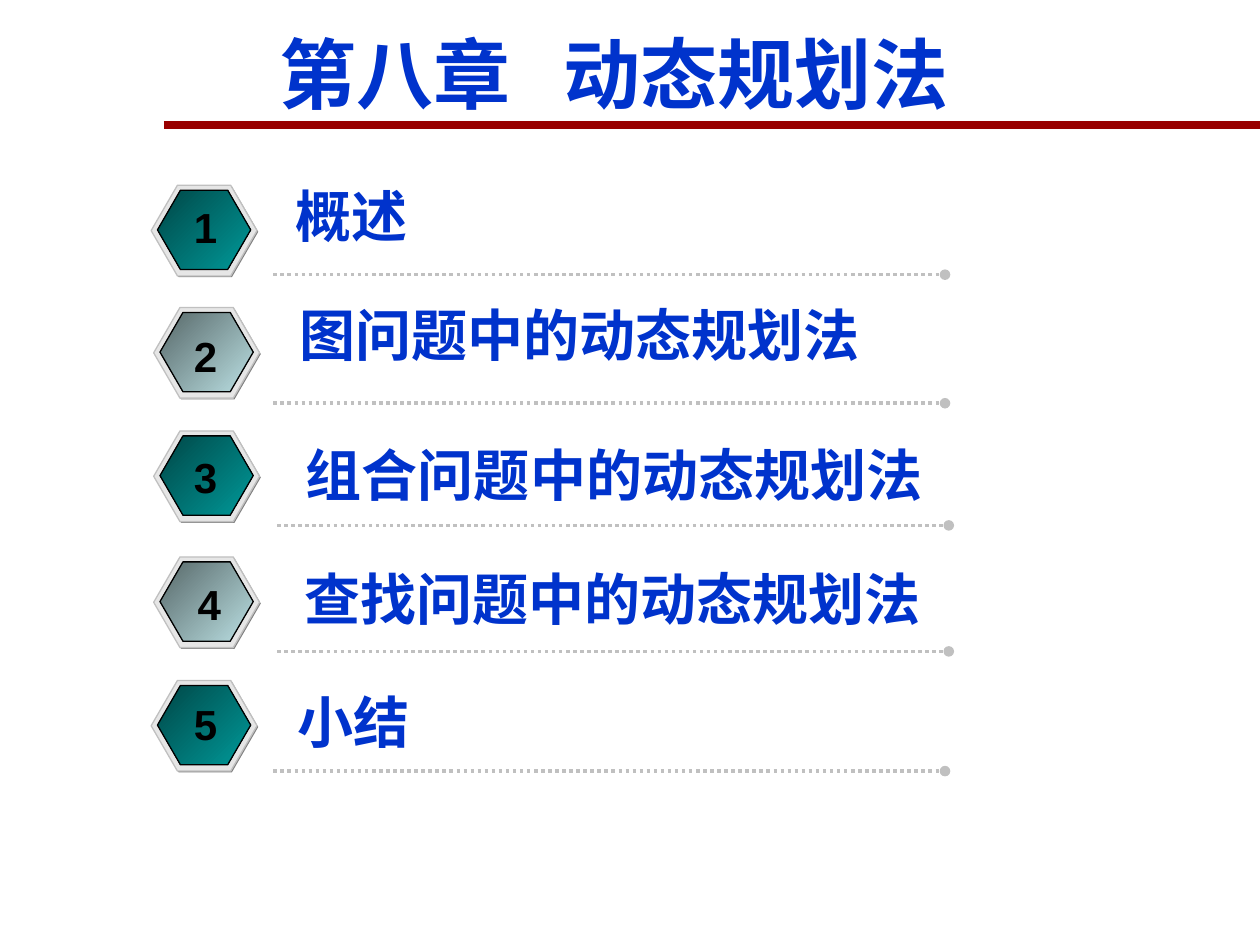
from dataclasses import dataclass

import pptx
import pptx.dml.color
import pptx.enum.dml
import pptx.enum.shapes
import pptx.enum.text
import pptx.oxml
import pptx.oxml.ns
import pptx.util

Inches = pptx.util.Inches
Pt = pptx.util.Pt


@dataclass(frozen=True)
class Theme:
    latin: str = "Arial"
    cjk: str = "Noto Sans CJK SC"
    blue: str = "0033CC"
    black: str = "000000"
    red: str = "990000"
    silver: str = "C0C0C0"
    rim: str = "E6E6E6"
    shade: str = "808080"
    teal: tuple = ("004747", "009999")
    pale: tuple = ("576869", "BBE0E3")
    title_size: int = 44
    label_size: int = 32
    number_size: int = 24


def rgb(value):
    return pptx.dml.color.RGBColor.from_string(value)


class Deck:
    def __init__(self, theme):
        self.theme = theme
        self.prs = pptx.Presentation()
        self.prs.slide_width, self.prs.slide_height = Inches(10), Inches(7.5)
        self.s = self.prs.slides.add_slide(self.prs.slide_layouts[6])

    def text(self, text, x, y, w, h, size, color, font, margins=(0.1, 0.05),
             centered=False):
        sp = self.s.shapes.add_textbox(Inches(x), Inches(y), Inches(w), Inches(h))
        tf = sp.text_frame
        tf.word_wrap = not centered
        tf.vertical_anchor = pptx.enum.text.MSO_ANCHOR.MIDDLE
        tf.margin_left = tf.margin_right = Inches(margins[0])
        tf.margin_top = tf.margin_bottom = Inches(margins[1])
        tf.text = text
        p = tf.paragraphs[0]
        if centered:
            p.alignment = pptx.enum.text.PP_ALIGN.CENTER
        r = p.runs[0]
        r.font.size, r.font.bold, r.font.name = Pt(size), True, font
        r.font.color.rgb = rgb(color)
        ea = pptx.oxml.parse_xml(
            f'<a:ea {pptx.oxml.ns.nsdecls("a")} typeface="{self.theme.cjk}"/>')
        r.font._element.find(pptx.oxml.ns.qn("a:latin")).addnext(ea)

    def line(self, x1, x2, y, color, width, dotted=False):
        """Horizontal rule; a dotted one ends in a round dot."""
        sp = self.s.shapes.add_connector(
            pptx.enum.shapes.MSO_CONNECTOR.STRAIGHT,
            Inches(x1), Inches(y), Inches(x2), Inches(y))
        sp.line.color.rgb = rgb(color)
        sp.line.width = Pt(width)
        ns = pptx.oxml.ns.nsdecls("a")
        if dotted:
            sp.line.dash_style = pptx.enum.dml.MSO_LINE.ROUND_DOT
            sp.line._get_or_add_ln().append(
                pptx.oxml.parse_xml(f'<a:tailEnd {ns} type="oval"/>'))
        sp._element.spPr.append(pptx.oxml.parse_xml(f"<a:effectLst {ns}/>"))

    def hexagon(self, group, x, y, w, h, fill, outline=None):
        """Fill is one colour, or a pair for a diagonal gradient."""
        sp = group.shapes.add_shape(
            pptx.enum.shapes.MSO_SHAPE.HEXAGON,
            Inches(x), Inches(y), Inches(w), Inches(h))
        sp.shadow.inherit = False
        sp.adjustments[0] = 0.29
        if isinstance(fill, tuple):
            sp.fill.gradient()
            sp.fill.gradient_angle = 315
            for stop, color, position in zip(sp.fill.gradient_stops, fill, (0, 1)):
                stop.color.rgb = rgb(color)
                stop.position = position
        else:
            sp.fill.solid()
            sp.fill.fore_color.rgb = rgb(fill)
        if outline:
            sp.line.color.rgb = rgb(outline)
            sp.line.width = Pt(0.75)
        else:
            sp.line.fill.background()

    def badge(self, x, y, gradient):
        t = self.theme
        group = self.s.shapes.add_group_shape()
        self.hexagon(group, x + 0.01, y + 0.01, 0.84, 0.72, t.shade)
        self.hexagon(group, x, y, 0.84, 0.72, t.rim, t.silver)
        self.hexagon(group, x + 0.05, y + 0.04, 0.74, 0.63, gradient, t.black)

    def title(self, text):
        t = self.theme
        self.line(1.3, 10, 0.99, t.red, 4.5)
        self.text(text, 2.22, 0.21, 5.99, 0.73, t.title_size, t.blue, t.cjk,
                  margins=(0, 0))

    def entry(self, number, label, badge_at, number_at, label_at, rule_at):
        t = self.theme
        self.badge(*badge_at, t.teal if number % 2 else t.pale)
        rule_x, rule_y = rule_at
        self.line(rule_x, rule_x + 5.33, rule_y, t.silver, 2, dotted=True)
        self.text(str(number), *number_at, 0.38, 0.5, t.number_size, t.black,
                  t.latin, centered=True)
        self.text(label, *label_at, 0.64, t.label_size, t.blue, t.latin)


# label, badge (x, y), number (x, y), label (x, y, width), rule (x, y)
CHAPTERS = [
    ("概述", (1.2, 1.47), (1.44, 1.55), (2.25, 1.39, 4.48), (2.17, 2.18)),
    ("图问题中的动态规划法", (1.22, 2.44), (1.44, 2.57), (2.28, 2.33, 5.01), (2.17, 3.2)),
    ("组合问题中的动态规划法", (1.22, 3.42), (1.44, 3.53), (2.33, 3.44, 5.28), (2.2, 4.17)),
    ("查找问题中的动态规划法", (1.22, 4.42), (1.47, 4.54), (2.32, 4.43, 5.12), (2.2, 5.17)),
    ("小结", (1.2, 5.4), (1.44, 5.49), (2.26, 5.4, 5.12), (2.17, 6.12)),
]


def main():
    deck = Deck(Theme())
    deck.title("第八章   动态规划法")
    for number, chapter in enumerate(CHAPTERS, 1):
        deck.entry(number, *chapter)
    deck.prs.save("out.pptx")


if __name__ == "__main__":
    main()
